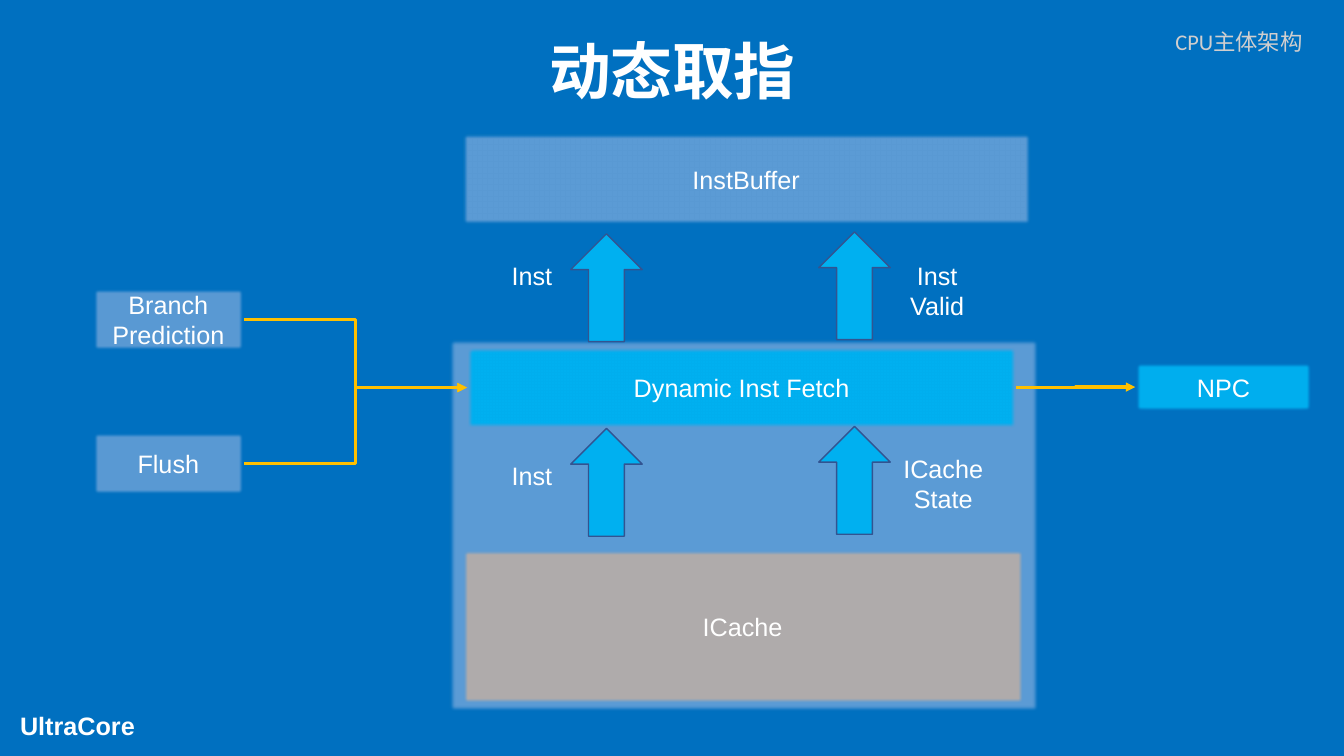
import pptx
import pptx.util
import pptx.dml.color
import pptx.enum.shapes
import pptx.enum.text
import pptx.oxml
import pptx.oxml.ns
from pptx.util import Inches

COLORS = {
    "background": "0070C0",
    "panel": "5B9BD5",
    "active": "00B0F0",
    "cache": "AFABAB",
    "block_edge": "A9D18E",
    "arrow_edge": "325491",
    "signal": "FFC000",
    "text": "FFFFFF",
    "section": "D0CECE",
}
SHAPES = pptx.enum.shapes.MSO_SHAPE
CENTER = pptx.enum.text.PP_ALIGN.CENTER
MIDDLE = pptx.enum.text.MSO_ANCHOR.MIDDLE
LEFT_SITE, RIGHT_SITE = 1, 3


def rgb(name):
    return pptx.dml.color.RGBColor.from_string(COLORS[name])


def add_effects(shape, content=""):
    """Replace inherited effects with the given effect XML."""
    namespace = pptx.oxml.ns.nsdecls("a")
    shape._element.spPr.append(
        pptx.oxml.parse_xml(f"<a:effectLst {namespace}>{content}</a:effectLst>"))


def write(frame, text, size=18, color="text", bold=False, font="Arial", align=CENTER):
    frame.text = text
    for paragraph in frame.paragraphs:
        paragraph.alignment = align
        for run in paragraph.runs:
            run.font.name = font
            run.font.size = pptx.util.Pt(size)
            run.font.bold = bold
            run.font.color.rgb = rgb(color)


def add_filled(slide, kind, box, fill, edge):
    shape = slide.shapes.add_shape(kind, *map(Inches, box))
    shape.fill.solid()
    shape.fill.fore_color.rgb = rgb(fill)
    shape.line.color.rgb = rgb(edge)
    shape.line.width = pptx.util.Pt(1)
    return shape


def add_block(slide, box, fill, text=""):
    """Add a soft-edged rectangle with a centred label."""
    block = add_filled(slide, SHAPES.RECTANGLE, box, fill, "block_edge")
    add_effects(block, '<a:softEdge rad="31750"/>')
    if text:
        block.text_frame.word_wrap = True
        block.text_frame.vertical_anchor = MIDDLE
        write(block.text_frame, text)
    return block


def add_label(slide, box, text, **style):
    label = slide.shapes.add_textbox(*map(Inches, box))
    label.text_frame.word_wrap = True
    write(label.text_frame, text, **style)


def add_up_arrow(slide, left, top):
    arrow = add_filled(slide, SHAPES.UP_ARROW, (left, top, 0.71, 1.07),
                       "active", "arrow_edge")
    arrow.shadow.inherit = False


def add_signal(slide, source, target):
    """Link the right side of source to the left side of target."""
    signal = slide.shapes.add_connector(
        pptx.enum.shapes.MSO_CONNECTOR.ELBOW, 0, 0, 0, 0)
    signal.begin_connect(source, RIGHT_SITE)
    signal.end_connect(target, LEFT_SITE)
    signal.line.color.rgb = rgb("signal")
    signal.line.width = pptx.util.Pt(2.25)
    signal.line._get_or_add_ln().append(pptx.oxml.parse_xml(
        f'<a:tailEnd {pptx.oxml.ns.nsdecls("a")} type="triangle"/>'))
    add_effects(signal)


def add_heading(slide, box):
    title = slide.shapes.title
    title.left, title.top, title.width, title.height = map(Inches, box)
    title.text_frame.vertical_anchor = MIDDLE
    write(title.text_frame, "动态取指", size=44, bold=True)
    title.text_frame.paragraphs[0].line_spacing = 0.9


def add_fetch_unit(slide, box):
    """Draw the fetch panel and return its dynamic fetch block."""
    left, top, width, height = box
    add_block(slide, box, "panel")
    fetch = add_block(slide, (left + 0.17, top + 0.07, 5.45, 0.81),
                      "active", "Dynamic Inst Fetch")
    add_block(slide, (left + 0.13, top + 2.09, 5.55, 1.51), "cache", "ICache")
    add_flow(slide, (left, top + 0.86), 1.15, "ICache\nState", (4.02, 1.08))
    return fetch


def add_flow(slide, origin, inst_drop, status, status_offset):
    """Draw a pair of up arrows with the labels of what they carry."""
    left, top = origin
    add_up_arrow(slide, left + 1.2, top + 0.02)
    add_up_arrow(slide, left + 3.66, top)
    across, down = status_offset
    add_label(slide, (left - 0.06, top + inst_drop - 0.86, 1.75, 0.4), "Inst")
    add_label(slide, (left + across, top + down - 0.86, 1.75, 0.71), status)


def add_inputs(slide, box):
    """Stack the redirect sources from the top to the bottom of the box."""
    left, top, width, height = box
    names = ["Branch Prediction", "Flush"]
    block_height = 0.62
    step = (height - block_height) / (len(names) - 1)
    return [add_block(slide, (left, top + i * step, width, block_height), "panel", name)
            for i, name in enumerate(names)]


def build_fetch_slide(deck):
    slide = deck.slides.add_slide(deck.slide_layouts[5])
    slide.background.fill.solid()
    slide.background.fill.fore_color.rgb = rgb("background")

    add_heading(slide, (0.92, 0.01, 11.5, 1.45))
    add_label(slide, (11.56, 0.23, 1.57, 0.37), "CPU主体架构", size=16,
              color="section", font="Calibri", align=None)
    add_label(slide, (0.1, 7, 1.98, 0.4), "UltraCore", bold=True, align=None)

    fetch = add_fetch_unit(slide, (4.46, 3.37, 5.83, 3.68))
    add_block(slide, (4.59, 1.33, 5.62, 0.89), "panel", "InstBuffer")
    add_flow(slide, (4.46, 2.3), 1.09, "Inst\nValid", (3.96, 1.09))
    for source in add_inputs(slide, (0.92, 2.86, 1.5, 2.05)):
        add_signal(slide, source, fetch)
    next_pc = add_block(slide, (11.26, 3.59, 1.75, 0.5), "active", "NPC")
    add_signal(slide, fetch, next_pc)


def main():
    deck = pptx.Presentation()
    deck.slide_width, deck.slide_height = Inches(13.33), Inches(7.5)
    build_fetch_slide(deck)
    deck.save("out.pptx")


if __name__ == "__main__":
    main()
